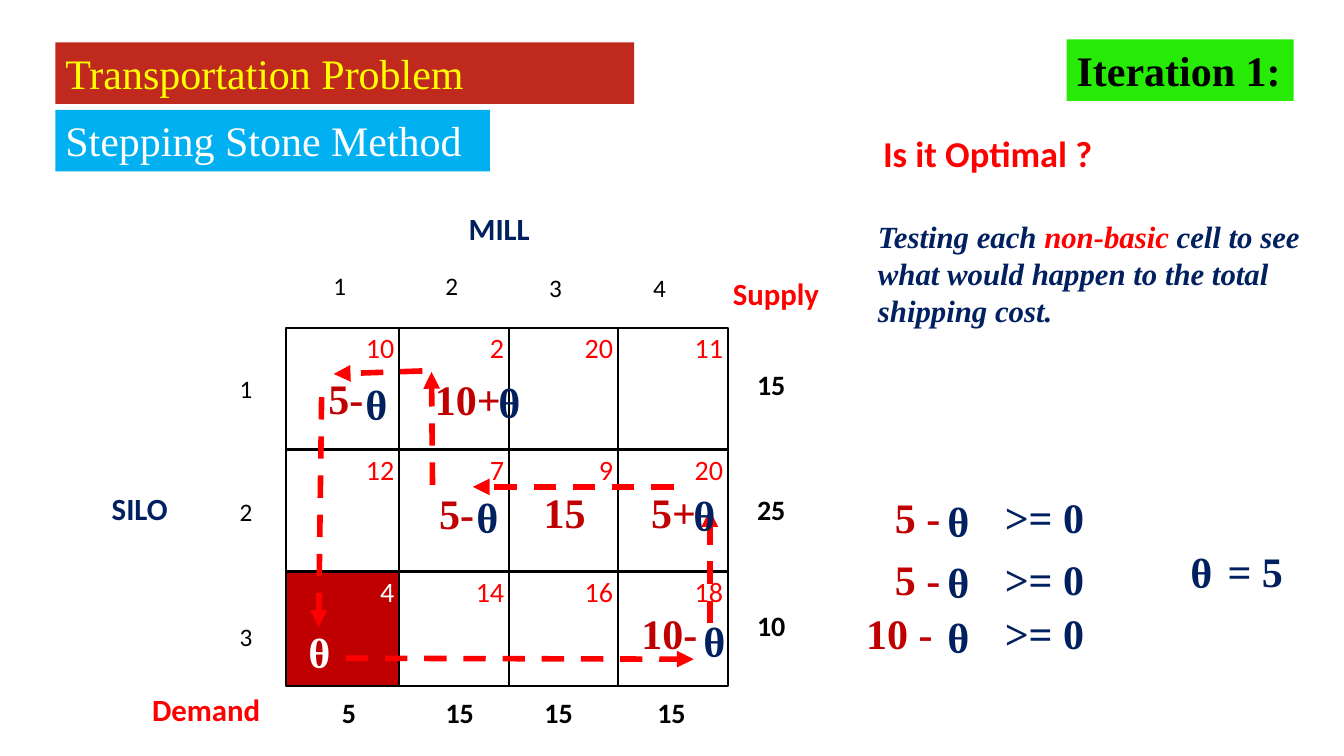
from itertools import accumulate

from lxml.etree import SubElement
from pptx import Presentation
from pptx.dml.color import RGBColor
from pptx.enum.dml import MSO_LINE
from pptx.enum.shapes import MSO_CONNECTOR, MSO_SHAPE
from pptx.enum.text import MSO_ANCHOR, PP_ALIGN
from pptx.oxml.ns import qn
from pptx.util import Inches, Pt

SANS, SERIF = "Calibri", "Times New Roman"
BLACK, WHITE, RED, DARK_RED, NAVY = "000000", "FFFFFF", "FF0000", "C00000", "002060"
THETA = "ᶿ"
COLUMN_WIDTHS = [1.12, 1.09, 1.08, 1.09]
ROW_HEIGHTS = [1.21, 1.21, 1.14]
COSTS = [[10, 2, 20, 11], [12, 7, 9, 20], [4, 14, 16, 18]]
ENTERING_CELL = (2, 0)


def color(value):
    return RGBColor.from_string(value)


def style(paragraph, size, font, ink, bold=False, italic=False):
    paragraph.font.size = Pt(size)
    paragraph.font.name = font
    paragraph.font.color.rgb = color(ink)
    paragraph.font.bold = bold
    paragraph.font.italic = italic


def add_rectangle(slide, left, top, width, height, fill, outline=None):
    rectangle = slide.shapes.add_shape(
        MSO_SHAPE.RECTANGLE, Inches(left), Inches(top), Inches(width), Inches(height))
    rectangle.shadow.inherit = False
    rectangle.fill.solid()
    rectangle.fill.fore_color.rgb = color(fill)
    if outline:
        rectangle.line.color.rgb = color(outline)
        rectangle.line.width = Pt(1.5)
    else:
        rectangle.line.fill.background()
    return rectangle


def add_banner(slide, left, top, width, text, fill, ink, bold=False):
    frame = add_rectangle(slide, left, top, width, 0.61, fill).text_frame
    frame.word_wrap = True
    frame.vertical_anchor = MSO_ANCHOR.TOP
    frame.text = text
    frame.paragraphs[0].alignment = PP_ALIGN.LEFT
    style(frame.paragraphs[0], 30, SERIF, ink, bold)


def add_text(slide, left, top, width, height, text, size, font, ink, bold=True, italic=False):
    frame = slide.shapes.add_textbox(
        Inches(left), Inches(top), Inches(width), Inches(height)).text_frame
    frame.word_wrap = True
    frame.text = text
    style(frame.paragraphs[0], size, font, ink, bold, italic)
    return frame


def add_label(slide, center_x, center_y, text, size, font, ink, bold=True, width=0.65):
    frame = add_text(slide, center_x - width / 2, center_y - 0.25, width, 0.5,
                     text, size, font, ink, bold)
    frame.margin_left = frame.margin_right = 0
    frame.vertical_anchor = MSO_ANCHOR.MIDDLE
    frame.paragraphs[0].alignment = PP_ALIGN.CENTER


def add_theta(slide, center_x, center_y, ink=NAVY):
    add_label(slide, center_x, center_y, THETA, 50, SERIF, ink)


def add_arrow(slide, x1, y1, x2, y2):
    arrow = slide.shapes.add_connector(
        MSO_CONNECTOR.STRAIGHT, Inches(x1), Inches(y1), Inches(x2), Inches(y2))
    arrow.line.color.rgb = color(RED)
    arrow.line.width = Pt(4)
    arrow.line.dash_style = MSO_LINE.DASH
    SubElement(arrow.line._get_or_add_ln(), qn("a:tailEnd"), type="triangle")
    SubElement(arrow._element.spPr, qn("a:effectLst"))


def add_headings(slide, left, top):
    add_banner(slide, left, top, 5.74, "Transportation Problem", "C02A1E", "FFFF00")
    add_banner(slide, left, top + 0.67, 4.31, "Stepping Stone Method", "00B0F0", WHITE)


def add_cost_grid(slide, left, top):
    rights = list(accumulate(COLUMN_WIDTHS, initial=left))
    bottoms = list(accumulate(ROW_HEIGHTS, initial=top))
    for row, costs in enumerate(COSTS):
        for column in range(len(costs)):
            fill = DARK_RED if (row, column) == ENTERING_CELL else WHITE
            add_rectangle(slide, rights[column], bottoms[row],
                          COLUMN_WIDTHS[column], ROW_HEIGHTS[row], fill, BLACK)
    for row, costs in enumerate(COSTS):
        for column, cost in enumerate(costs):
            ink = WHITE if (row, column) == ENTERING_CELL else RED
            inset = 0.05 + 0.07 * len(str(cost))
            add_label(slide, rights[column + 1] - inset, bottoms[row] + 0.2,
                      str(cost), 20, SANS, ink, bold=False)


def add_grid_labels(slide, left, top):
    for mill, (x, y) in enumerate([(0.53, -0.42), (1.64, -0.42), (2.67, -0.4), (3.7, -0.4)], 1):
        add_label(slide, left + x, top + y, str(mill), 18, SANS, BLACK, bold=False)
    for silo, y in enumerate([0.6, 1.82, 3.06], 1):
        add_label(slide, left - 0.4, top + y, str(silo), 18, SANS, BLACK, bold=False)
    for supply, y in [("15", 0.56), ("25", 1.8), ("10", 2.95)]:
        add_label(slide, left + 4.81, top + y, supply, 20, SANS, BLACK)
    for demand, x in [("5", 0.62), ("15", 1.72), ("15", 2.7), ("15", 3.82)]:
        add_label(slide, left + x, top + 3.82, demand, 20, SANS, BLACK)
    for title, x, y, width, ink in [
        ("SILO", -1.83, 1.56, 0.95, NAVY),
        ("MILL", 1.71, -1.22, 0.95, NAVY),
        ("Supply", 4.33, -0.57, 1.25, RED),
        ("Demand", -1.43, 3.55, 1.44, RED),
    ]:
        add_text(slide, left + x, top + y, width, 0.47, title, 22, SANS, ink)


def add_stepping_path(slide, left, top):
    for amount, x, y in [
        ("5-", 0.59, 0.7), ("10+", 1.8, 0.71), ("5-", 1.69, 1.84),
        ("15", 2.76, 1.83), ("5+", 3.84, 1.83), ("10-", 3.8, 3.03),
    ]:
        add_label(slide, left + x, top + y, amount, 30, SERIF, DARK_RED, width=0.93)
    for x1, y1, x2, y2 in [
        (4.2, 2.93, 4.2, 1.81), (3.84, 1.58, 1.85, 1.58), (0.35, 0.69, 0.32, 2.97),
        (0.59, 3.28, 4.04, 3.29), (1.45, 1.56, 1.44, 0.44), (1.35, 0.43, 0.47, 0.46),
    ]:
        add_arrow(slide, left + x1, top + y1, left + x2, top + y2)
    add_theta(slide, left + 0.33, top + 3.29, WHITE)
    for x, y in [(4.25, 3.18), (4.15, 1.93), (2.0, 1.95), (2.22, 0.81), (0.9, 0.83)]:
        add_theta(slide, left + x, top + y)


def add_optimality_note(slide, left, top):
    add_text(slide, left + 0.05, top, 3.07, 0.54, "Is it Optimal ?", 26, SANS, RED)
    testing = add_text(slide, left, top + 0.86, 4.54, 1.21, "Testing each ",
                       22, SERIF, NAVY, italic=True).paragraphs[0]
    non_basic = testing.add_run()
    non_basic.text = "non-basic"
    non_basic.font.color.rgb = color(RED)
    testing.add_run().text = " cell to see what would happen to the total shipping cost."


def add_theta_conditions(slide, left, top):
    for amount, x, y in [("5 -", 0.68, 0.25), ("5 -", 0.68, 0.86), ("10 -", 0.5, 1.4)]:
        add_label(slide, left + x, top + y, amount, 30, SERIF, DARK_RED, width=0.99)
        add_theta(slide, left + 1.09, top + y + 0.11)
        add_label(slide, left + 1.94, top + y, ">= 0", 30, SERIF, NAVY, width=1.03)
    add_theta(slide, left + 3.5, top + 0.87)
    add_label(slide, left + 4.03, top + 0.78, "= 5", 30, SERIF, NAVY, width=1.03)


def main():
    presentation = Presentation()
    presentation.slide_width = Inches(13.33)
    presentation.slide_height = Inches(7.5)
    slide = presentation.slides.add_slide(presentation.slide_layouts[6])
    add_cost_grid(slide, 2.84, 3.25)
    add_grid_labels(slide, 2.84, 3.25)
    add_headings(slide, 0.55, 0.42)
    add_banner(slide, 10.58, 0.39, 2.25, "Iteration 1:", "27EA06", BLACK, bold=True)
    add_optimality_note(slide, 8.61, 1.25)
    add_stepping_path(slide, 2.84, 3.25)
    add_theta_conditions(slide, 8.42, 4.88)
    presentation.save("out.pptx")


if __name__ == "__main__":
    main()
